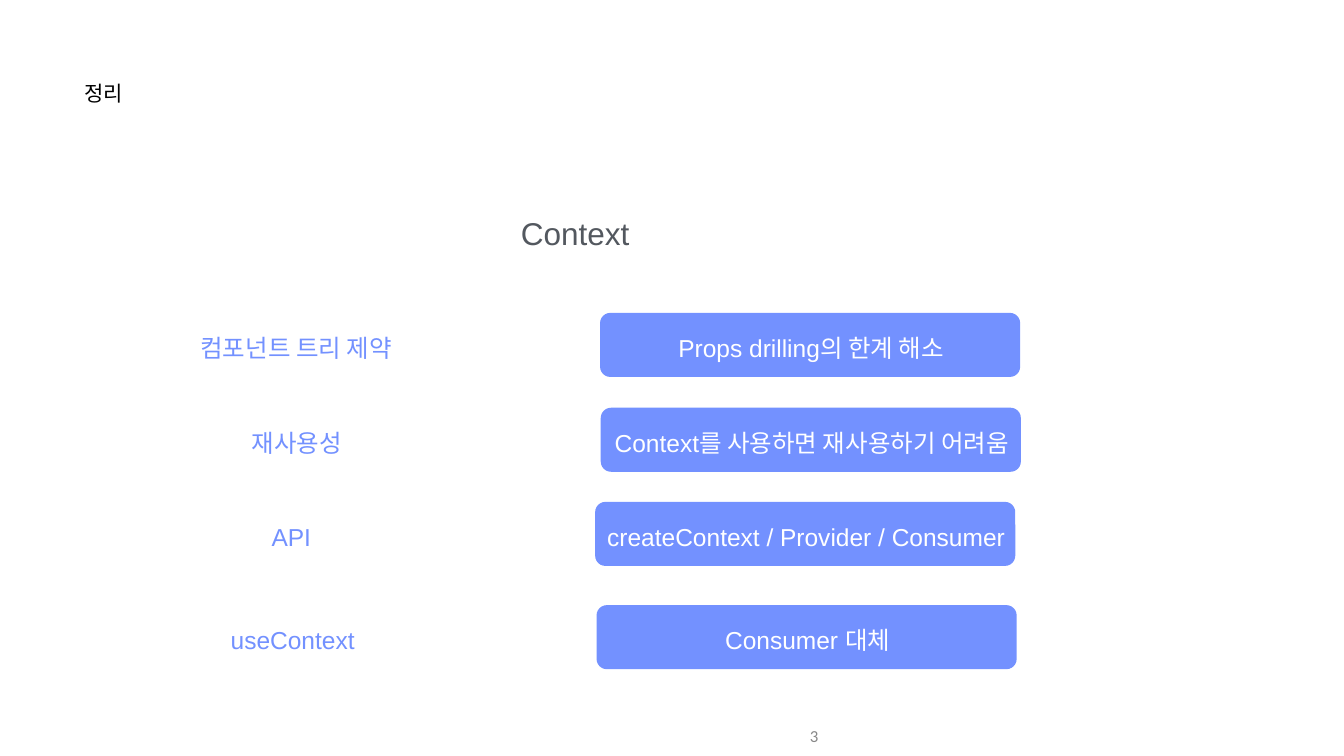
from dataclasses import dataclass

from pptx import Presentation
from pptx.dml.color import RGBColor
from pptx.enum.shapes import MSO_SHAPE as Preset
from pptx.enum.text import MSO_ANCHOR as Anchor, PP_ALIGN as Align
from pptx.util import Pt


@dataclass(frozen=True)
class Theme:
    font: str = "Arial"
    number_font: str = "Calibri"
    black: str = "000000"
    heading: str = "53585F"
    accent: str = "7391FF"
    white: str = "FFFFFF"
    muted: str = "888888"
    title_size: int = 30
    heading_size: int = 45
    row_size: int = 35
    number_size: int = 24


THEME = Theme()

PILL_WIDTH, PILL_HEIGHT = 600, 91.5
LABEL_WIDTH, TEXT_HEIGHT = 450, 45
LABEL_OFFSET = 659  # from the label's left edge to the pill's
TEXT_DROP = 27  # from the pill's top to the top of its text

# pill left, pill top, label, caption
ROWS = [
    (857, 447, "컴포넌트 트리 제약", "Props drilling의 한계 해소"),
    (858, 582.5, "재사용성", "Context를 사용하면 재사용하기 어려움"),
    (850, 717, "API", "createContext / Provider / Consumer"),
    (852, 864.5, "useContext", "Consumer 대체"),
]


def add_text(slide, text, left, top, width, height, size, color,
             align=Align.CENTER, anchor=Anchor.MIDDLE, font=THEME.font, inset=(0.7, 0.7)):
    """Add a one-paragraph text box; inset is (horizontal, vertical)."""
    shape = slide.shapes.add_textbox(Pt(left), Pt(top), Pt(width), Pt(height))
    frame = shape.text_frame
    frame.word_wrap = True
    frame.vertical_anchor = anchor
    frame.margin_left = frame.margin_right = Pt(inset[0])
    frame.margin_top = frame.margin_bottom = Pt(inset[1])
    paragraph = frame.paragraphs[0]
    paragraph.text = text
    paragraph.alignment = align
    paragraph.font.name = font
    paragraph.font.size = Pt(size)
    paragraph.font.color.rgb = RGBColor.from_string(color)


def add_pill(slide, left, top):
    shape = slide.shapes.add_shape(
        Preset.ROUNDED_RECTANGLE, Pt(left), Pt(top), Pt(PILL_WIDTH), Pt(PILL_HEIGHT))
    shape.adjustments[0] = 0.16
    shape.shadow.inherit = False
    shape.fill.solid()
    shape.fill.fore_color.rgb = RGBColor.from_string(THEME.accent)
    shape.line.fill.background()


def add_row(slide, left, top, label, caption):
    add_pill(slide, left, top)
    text_top = top + TEXT_DROP
    add_text(slide, label, left - LABEL_OFFSET, text_top, LABEL_WIDTH, TEXT_HEIGHT,
             THEME.row_size, THEME.accent)
    add_text(slide, caption, left + 1.5, text_top, PILL_WIDTH, TEXT_HEIGHT,
             THEME.row_size, THEME.white)


def main():
    presentation = Presentation()
    presentation.slide_width = Pt(1919.5)
    presentation.slide_height = Pt(1080)
    slide = presentation.slides.add_slide(presentation.slide_layouts[6])

    add_text(slide, "정리", 120, 115, 350, 85, THEME.title_size, THEME.black,
             align=Align.LEFT, anchor=Anchor.TOP)
    add_text(slide, "Context", 190, 305, 1263, 57, THEME.heading_size, THEME.heading,
             anchor=Anchor.TOP)
    for row in ROWS:
        add_row(slide, *row)
    add_text(slide, "3", 744, 1023, 432, 57, THEME.number_size, THEME.muted,
             align=Align.RIGHT, font=THEME.number_font, inset=(7.2, 3.6))

    presentation.save("out.pptx")


if __name__ == "__main__":
    main()
